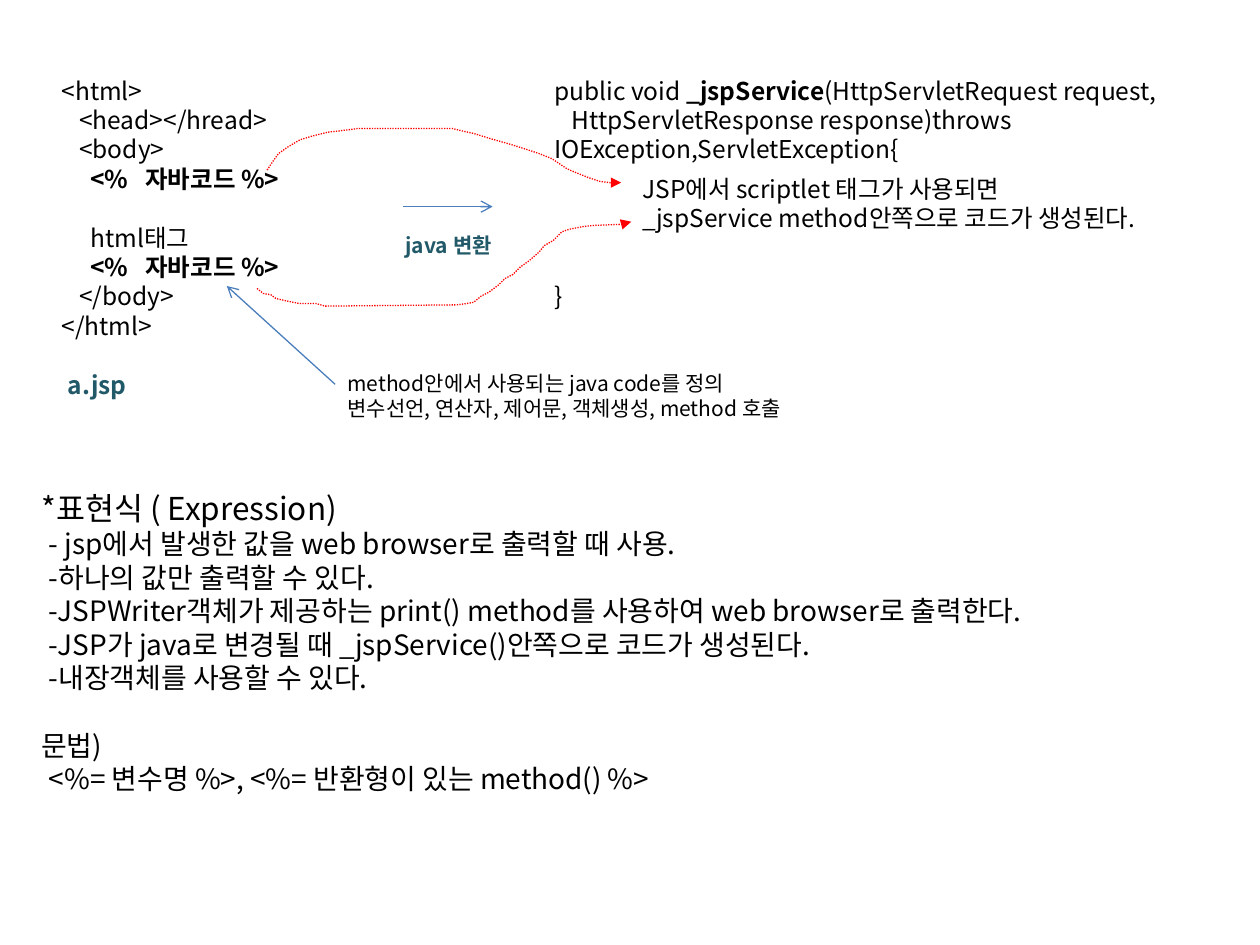
from dataclasses import dataclass

from lxml.etree import SubElement
from pptx import Presentation
from pptx.dml.color import RGBColor
from pptx.enum.dml import MSO_LINE
from pptx.enum.shapes import MSO_CONNECTOR
from pptx.oxml.ns import qn
from pptx.util import Inches, Pt

FONT = "Noto Sans CJK KR"
BLACK, TEAL, BLUE, RED = "000000", "215968", "4B7EBC", "FF0000"
LINE_FACTOR = 1.2
SCRIPTLET = "<%   자바코드 %>"


@dataclass
class Line:
    """One paragraph; text between ** marks is bold."""
    text: str
    indent: float = 0
    blank_before: int = 0
    color: str = BLACK
    size: float | None = None


@dataclass
class TextBlock:
    """A text box with its place and paragraphs."""
    left: float
    top: float
    width: float
    height: float
    size: float
    lines: list[Line]


TEXT_BLOCKS = [
    TextBlock(0.39, 0.55, 2.23, 2.69, 14, [
        Line("<html>"),
        Line("<head></hread>", 0.14),
        Line("<body>", 0.14),
        Line(f"**{SCRIPTLET}**", 0.23),
        Line("html태그", 0.23, blank_before=1),
        Line(f"**{SCRIPTLET}**", 0.23),
        Line("</body>", 0.14),
        Line("</html>"),
        Line("**a.jsp**", 0.05, blank_before=1, color=TEAL),
    ]),
    TextBlock(3.12, 1.8, 0.92, 0.3, 12, [Line("**java 변환**", color=TEAL)]),
    TextBlock(4.3, 0.55, 6.48, 1.75, 14, [
        Line("public void **_jspService**(HttpServletRequest request,"),
        Line("HttpServletResponse response)throws IOException,ServletException{", 0.14),
        Line("}", blank_before=4),
    ]),
    TextBlock(5, 1.33, 4.28, 0.57, 14, [
        Line("JSP에서 scriptlet 태그가 사용되면"),
        Line("_jspService method안쪽으로 코드가 생성된다."),
    ]),
    TextBlock(2.66, 2.89, 3.94, 0.5, 12, [
        Line("method안에서 사용되는 java code를 정의"),
        Line("변수선언, 연산자, 제어문, 객체생성, method 호출"),
    ]),
    TextBlock(0.23, 3.83, 8.39, 3.1, 16, [
        Line("*표현식 ( Expression)", size=18),
        Line("- jsp에서 발생한 값을 web browser로 출력할 때 사용.", 0.06),
        Line("-하나의 값만 출력할 수 있다.", 0.06),
        Line("-JSPWriter객체가 제공하는 print() method를 사용하여 web browser로 출력한다.", 0.06),
        Line("-JSP가 java로 변경될 때 _jspService()안쪽으로 코드가 생성된다.", 0.06),
        Line("-내장객체를 사용할 수 있다.", 0.06),
        Line("문법)", blank_before=1),
        Line("<%= 변수명 %>, <%= 반환형이 있는 method() %>", 0.06),
    ]),
]

STRAIGHT_ARROWS = [
    ((3.2, 1.64), (3.91, 1.64)),
    ((2.66, 3.05), (1.8, 2.27)),
]

DOTTED_ARROWS = [
    [(2.12, 1.35), (2.16, 1.29), (2.21, 1.22), (2.28, 1.17), (2.38, 1.11),
     (2.48, 1.08), (2.6, 1.05), (2.77, 1.03), (2.84, 1.02), (3.59, 1.02),
     (3.67, 1.04), (3.76, 1.06), (3.89, 1.1), (4.03, 1.14), (4.16, 1.18),
     (4.28, 1.22), (4.38, 1.26), (4.5, 1.34), (4.57, 1.37), (4.67, 1.41),
     (4.76, 1.44), (4.84, 1.45), (4.93, 1.45)],
    [(2.04, 2.29), (2.09, 2.33), (2.15, 2.34), (2.19, 2.37), (2.28, 2.39),
     (2.38, 2.41), (2.51, 2.41), (2.58, 2.43), (3.63, 2.42), (3.7, 2.41),
     (3.76, 2.4), (3.82, 2.35), (3.88, 2.32), (3.96, 2.26), (4.01, 2.21),
     (4.07, 2.18), (4.13, 2.12), (4.2, 2.07), (4.28, 2), (4.32, 1.95),
     (4.39, 1.91), (4.46, 1.84), (4.52, 1.82), (4.62, 1.8), (4.71, 1.79),
     (4.96, 1.78), (5.01, 1.76)],
]


def rgb(value: str) -> RGBColor:
    """Turn a hex string into a colour."""
    return RGBColor.from_string(value)


def add_span(para, text: str, *, size: float, color: str, bold: bool) -> None:
    """Add one run of text in the given format."""
    span = para.add_run()
    span.text = text
    span.font.name = FONT
    span.font.size = Pt(size)
    span.font.bold = bold
    span.font.color.rgb = rgb(color)
    SubElement(span.font._element, qn("a:ea"), typeface=FONT)


def add_text_block(page, block: TextBlock) -> None:
    """Draw a text box paragraph by paragraph."""
    box = page.shapes.add_textbox(Inches(block.left), Inches(block.top),
                                  Inches(block.width), Inches(block.height))
    frame = box.text_frame
    frame.word_wrap = True
    for number, line in enumerate(block.lines):
        para = frame.add_paragraph() if number else frame.paragraphs[0]
        size = line.size or block.size
        para.line_spacing = Pt(size * LINE_FACTOR)
        para.space_before = Pt(line.blank_before * size * LINE_FACTOR)
        if line.indent:
            para._p.get_or_add_pPr().set("indent", str(Inches(line.indent)))
        for part, text in enumerate(line.text.split("**")):
            if text:
                add_span(para, text, size=size, color=line.color, bold=part % 2 == 1)


def style_arrow(shape, color: str, head: str) -> None:
    """Set the line colour and the arrowhead at its end."""
    shape.line.color.rgb = rgb(color)
    shape.line.width = Pt(0.75)
    SubElement(shape.line._get_or_add_ln(), qn("a:tailEnd"), type=head)


def add_straight_arrow(page, start: tuple, end: tuple) -> None:
    """Draw a straight blue arrow."""
    arrow = page.shapes.add_connector(MSO_CONNECTOR.STRAIGHT,
                                      *map(Inches, (*start, *end)))
    style_arrow(arrow, BLUE, "arrow")
    SubElement(arrow._element.spPr, qn("a:effectLst"))


def add_dotted_arrow(page, points: list[tuple]) -> None:
    """Draw a dotted red arrow along the points."""
    start, *rest = [(Inches(x), Inches(y)) for x, y in points]
    builder = page.shapes.build_freeform(*start)
    builder.add_line_segments(rest, close=False)
    curve = builder.convert_to_shape()
    curve.shadow.inherit = False
    curve.fill.background()
    curve.line.dash_style = MSO_LINE.ROUND_DOT
    style_arrow(curve, RED, "triangle")


def main() -> None:
    """Build the slide and save it."""
    deck = Presentation()
    deck.slide_width, deck.slide_height = Inches(10), Inches(7.5)
    page = deck.slides.add_slide(deck.slide_layouts[6])
    for block in TEXT_BLOCKS:
        add_text_block(page, block)
    for start, end in STRAIGHT_ARROWS:
        add_straight_arrow(page, start, end)
    for points in DOTTED_ARROWS:
        add_dotted_arrow(page, points)
    deck.save("out.pptx")


main()
